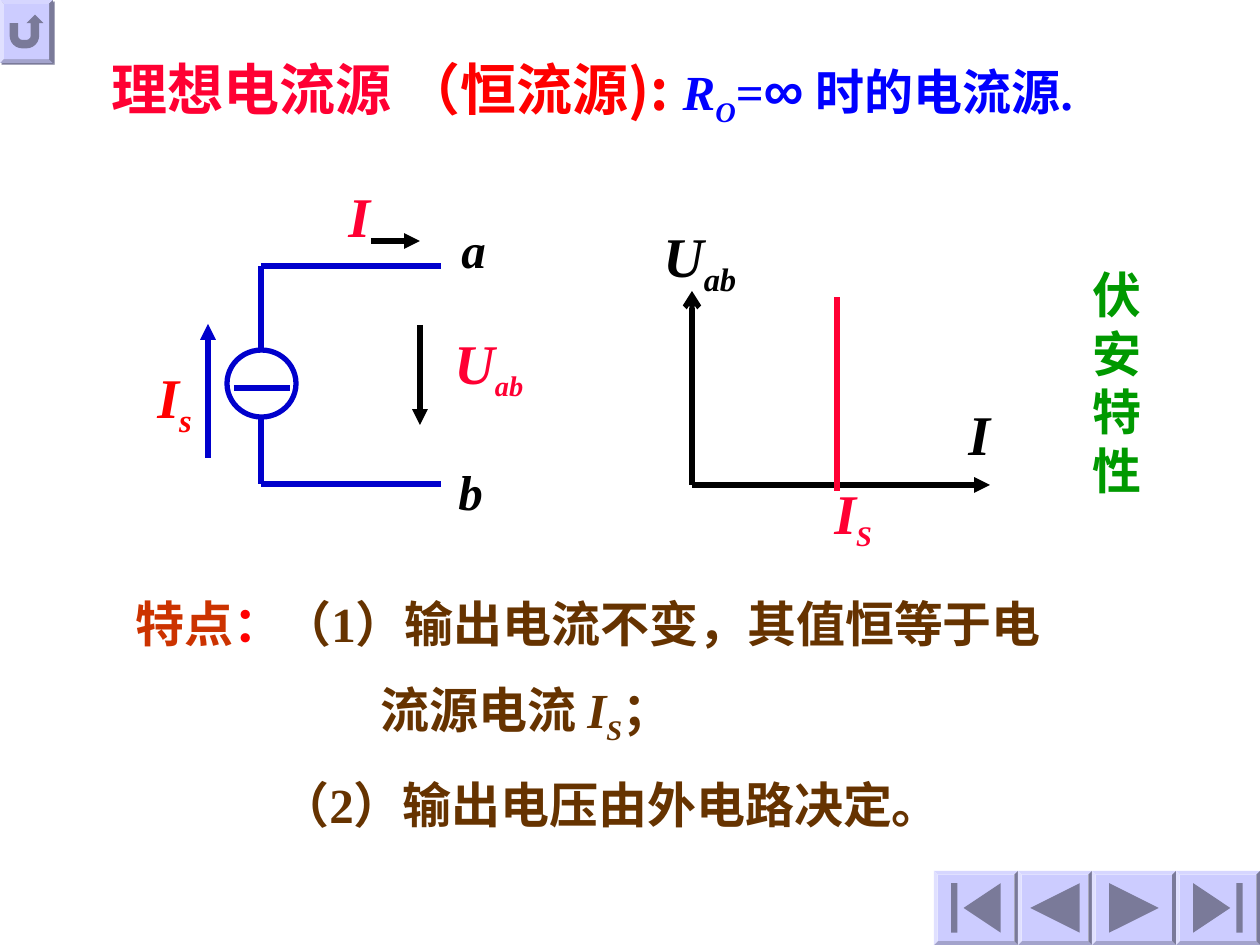
from dataclasses import dataclass
from typing import NamedTuple

from lxml import etree
from pptx import Presentation
from pptx.dml.color import RGBColor
from pptx.enum.shapes import MSO_CONNECTOR, MSO_SHAPE
from pptx.enum.text import MSO_ANCHOR, MSO_AUTO_SIZE, PP_ALIGN
from pptx.oxml.ns import qn
from pptx.util import Pt

STRAIGHT = MSO_CONNECTOR.STRAIGHT
OVAL = MSO_SHAPE.OVAL
BEVEL = MSO_SHAPE.BEVEL
HOME = MSO_SHAPE.ACTION_BUTTON_RETURN
FIRST = MSO_SHAPE.ACTION_BUTTON_BEGINNING
BACK = MSO_SHAPE.ACTION_BUTTON_BACK_OR_PREVIOUS
NEXT = MSO_SHAPE.ACTION_BUTTON_FORWARD_OR_NEXT
LAST = MSO_SHAPE.ACTION_BUTTON_END
TOP = MSO_ANCHOR.TOP
GROW = MSO_AUTO_SIZE.SHAPE_TO_FIT_TEXT
LEFT = PP_ALIGN.LEFT
SCALE = 914400 / 126
RIM = 4


@dataclass(frozen=True)
class Theme:
    rose: str = "FF0033"
    red: str = "FF0000"
    blue: str = "0000FF"
    wire: str = "0000CC"
    black: str = "000000"
    green: str = "009900"
    rust: str = "CC3300"
    brown: str = "663300"
    white: str = "FFFFFF"
    key: str = "CCCCFF"
    shade: str = "7A7A99"
    huge: int = 36
    big: int = 32
    mid: int = 28
    line: int = 3
    serif: str = "Times New Roman"
    sans: str = "Arial"
    han: str = "Noto Sans CJK SC"


T = Theme()


class Run(NamedTuple):
    text: str
    color: str
    size: int = T.mid
    font: str = T.serif
    slant: bool = False
    sub: bool = False


class Box(NamedTuple):
    x: int
    y: int
    w: int
    h: int


class Label(NamedTuple):
    box: Box
    paras: list[list[Run]]


class Line(NamedTuple):
    x1: int
    y1: int
    x2: int
    y2: int
    color: str
    head: str = ""


class Button(NamedTuple):
    box: Box
    kind: MSO_SHAPE


def emu(*px: int) -> list[int]:
    return [round(n * SCALE) for n in px]


def rgb(code: str) -> RGBColor:
    return RGBColor.from_string(code)


def symbol(main: str, sub: str, color: str, small: int = T.big) -> list[list[Run]]:
    runs = [Run(main, color, T.big, slant=True)]
    if sub:
        runs.append(Run(sub, color, small, slant=True, sub=True))
    return [runs]


def write(shape, paras: list[list[Run]], wrap: bool = True) -> None:
    frame = shape.text_frame
    frame.word_wrap = wrap
    frame.auto_size = GROW
    frame.vertical_anchor = TOP
    for i, runs in enumerate(paras):
        para = frame.add_paragraph() if i else frame.paragraphs[0]
        para.alignment = LEFT
        para.space_before = Pt(0)
        for item in runs:
            run = para.add_run()
            run.text = item.text
            font = run.font
            font.size, font.name = Pt(item.size), item.font
            font.bold, font.italic = True, item.slant
            font.color.rgb = rgb(item.color)
            props = run._r.get_or_add_rPr()
            etree.SubElement(props, qn("a:ea"), typeface=T.han)
            if item.sub:
                props.set("baseline", "-25000")


def place(shape, box: Box) -> None:
    shape.left, shape.top, shape.width, shape.height = emu(*box)


def draw_label(slide, label: Label) -> None:
    write(slide.shapes.add_textbox(*emu(*label.box)), label.paras)


def draw_line(slide, line: Line) -> None:
    ends = emu(line.x1, line.y1, line.x2, line.y2)
    shape = slide.shapes.add_connector(STRAIGHT, *ends)
    shape.line.color.rgb = rgb(line.color)
    shape.line.width = Pt(T.line)
    if line.head:
        etree.SubElement(shape.line._get_or_add_ln(), qn("a:tailEnd"), type=line.head)
    etree.SubElement(shape._element.spPr, qn("a:effectLst"))


def draw_shape(slide, kind: MSO_SHAPE, box: Box, fill: str):
    shape = slide.shapes.add_shape(kind, *emu(*box))
    shape.shadow.inherit = False
    shape.fill.solid()
    shape.fill.fore_color.rgb = rgb(fill)
    shape.line.fill.background()
    return shape


def draw_button(slide, button: Button):
    x, y, w, h = button.box
    base = draw_shape(slide, BEVEL, button.box, T.key)
    base.adjustments[0] = round(RIM / min(w, h), 2)
    face = Box(x + RIM, y + RIM, w - 2 * RIM, h - 2 * RIM)
    draw_shape(slide, button.kind, face, T.key)
    return base


def add_shade(shape) -> None:
    glow = shape._element.spPr.find(qn("a:effectLst"))
    drop = etree.SubElement(glow, qn("a:outerShdw"), dist="17780", dir="2700000")
    etree.SubElement(drop, qn("a:srgbClr"), val=T.shade)


def draw_source(slide, box: Box) -> None:
    shape = draw_shape(slide, OVAL, box, T.white)
    shape.line.color.rgb = rgb(T.wire)
    shape.line.width = Pt(T.line)


def fill_title(slide) -> None:
    title = slide.shapes.title
    place(title, Box(99, 41, 1034, 93))
    write(title, [[
        Run("理想电流源 ", T.rose, T.big, T.han),
        Run("（恒流源):", T.red, T.big, T.han),
        Run(" ", T.blue, T.huge, T.han),
        Run("R", T.blue, slant=True),
        Run("O", T.blue, slant=True, sub=True),
        Run("=", T.blue),
        Run("∞", T.blue, T.big, T.sans),
        Run(" 时的电流源.", T.blue),
    ]], wrap=False)


def fill_body(slide) -> None:
    body = slide.placeholders[1]
    place(body, Box(123, 564, 1076, 189))
    write(body, [
        [Run("特点", T.rust), Run("：", T.red),
         Run("（1）输出电流不变，其值恒等于电", T.brown)],
        [Run("流源电流 ", T.brown), Run("I", T.brown, slant=True),
         Run("S", T.brown, slant=True, sub=True), Run("；", T.brown)],
    ])
    for para, inset in zip(body.text_frame.paragraphs, emu(0, 245)):
        para.line_spacing = 1.4
        props = para._p.get_or_add_pPr()
        props.set("marL", str(inset))
        props.set("indent", "0")
        etree.SubElement(props, qn("a:buNone"))


LINES = [
    Line(261, 266, 441, 266, T.wire),
    Line(261, 484, 441, 484, T.wire),
    Line(261, 350, 261, 266, T.wire),
    Line(261, 484, 261, 417, T.wire),
    Line(234, 388, 290, 388, T.wire),
    Line(208, 458, 208, 324, T.wire, "triangle"),
    Line(371, 241, 420, 241, T.black, "triangle"),
    Line(420, 325, 420, 425, T.black, "triangle"),
    Line(692, 485, 692, 291, T.black, "arrow"),
    Line(692, 485, 990, 485, T.black, "triangle"),
    Line(837, 491, 837, 297, T.rose),
]
LABELS = [
    Label(Box(449, 213, 60, 72), [[Run("a", T.black, slant=True)]]),
    Label(Box(446, 455, 60, 72), [[Run("b", T.black, slant=True)]]),
    Label(Box(336, 175, 60, 81), symbol("I", "", T.rose)),
    Label(Box(442, 322, 110, 87), symbol("U", "ab", T.rose, T.mid)),
    Label(Box(145, 356, 75, 89), symbol("I", "s", T.red)),
    Label(Box(956, 393, 60, 81), symbol("I", "", T.black)),
    Label(Box(651, 215, 115, 89), symbol("U", "ab", T.black)),
    Label(Box(822, 472, 80, 87), symbol("I", "S", T.rose, T.mid)),
    Label(Box(1080, 258, 80, 248), [[Run(c, T.green)] for c in "伏安特性"]),
    Label(Box(268, 768, 730, 72), [[Run("（2）输出电压由外电路决定。", T.brown)]]),
]
EDGES = [934, 1018, 1092, 1176, 1260]
KEYS = [Button(Box(x, 871, end - x, 74), kind)
        for x, end, kind in zip(EDGES, EDGES[1:], [FIRST, BACK, NEXT, LAST])]


def main() -> None:
    deck = Presentation()
    deck.slide_width, deck.slide_height = emu(1260, 945)
    slide = deck.slides.add_slide(deck.slide_layouts[1])
    add_shade(draw_button(slide, Button(Box(0, 0, 53, 63), HOME)))
    for key in KEYS:
        draw_button(slide, key)
    fill_title(slide)
    fill_body(slide)
    draw_source(slide, Box(227, 350, 69, 67))
    for line in LINES:
        draw_line(slide, line)
    for label in LABELS:
        draw_label(slide, label)
    deck.save("out.pptx")


if __name__ == "__main__":
    main()
